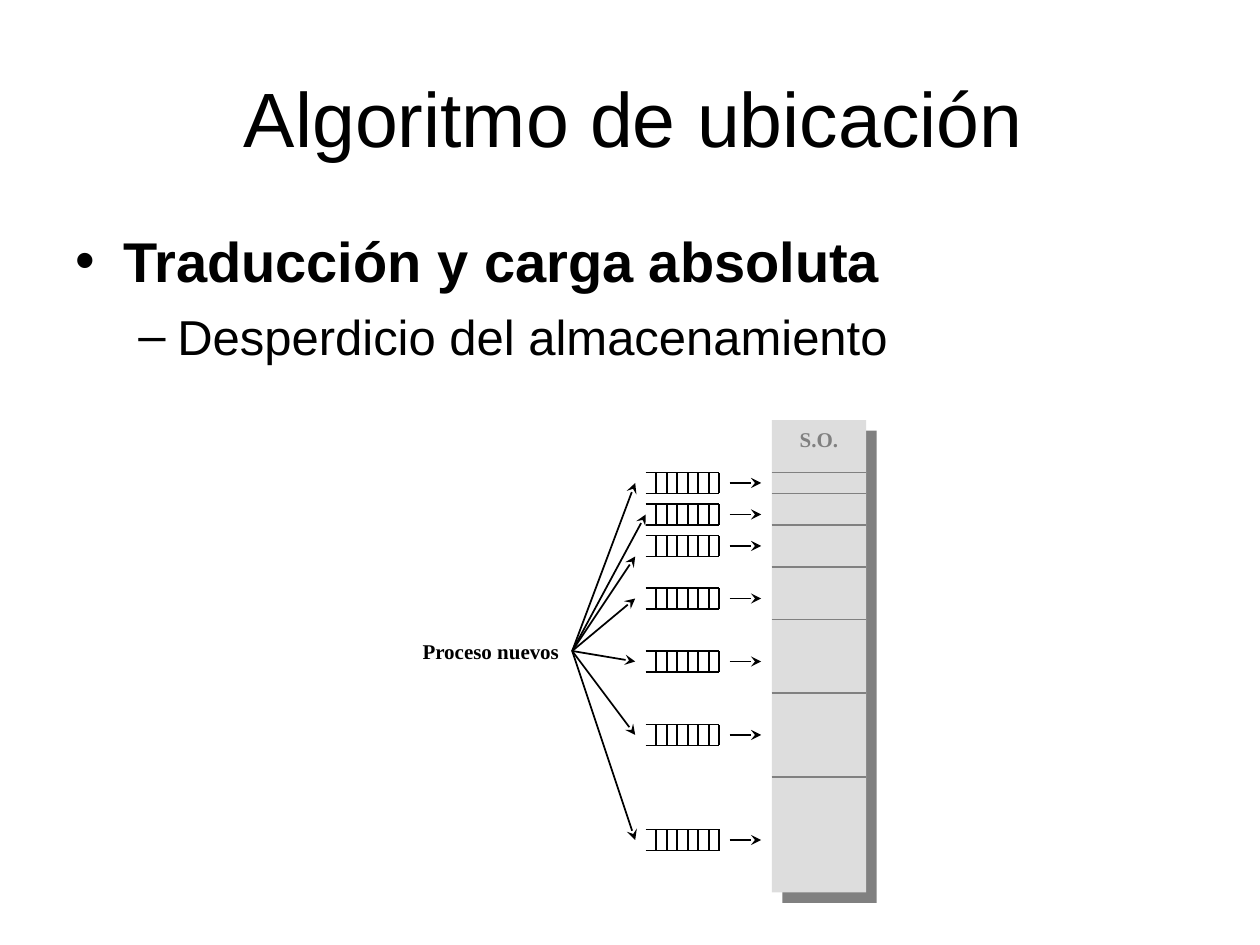
from dataclasses import dataclass

from lxml import etree
from pptx import Presentation
from pptx.dml.color import RGBColor
from pptx.enum.shapes import MSO_CONNECTOR, MSO_SHAPE
from pptx.enum.text import MSO_ANCHOR, PP_ALIGN
from pptx.oxml.ns import qn
from pptx.util import Emu, Inches, Pt

STRAIGHT = MSO_CONNECTOR.STRAIGHT
RECTANGLE = MSO_SHAPE.RECTANGLE
CENTER, LEFT = PP_ALIGN.CENTER, PP_ALIGN.LEFT
TOP, MIDDLE = MSO_ANCHOR.TOP, MSO_ANCHOR.MIDDLE
RIGHT_SIDE = 3

COLORS = {"ink": "000000", "memory": "DDDDDD", "muted": "808080"}
SANS, SERIF = "Arial", "Times New Roman"
UNIT = Inches(1) // 12

SOURCE_COL, SOURCE_ROW = 54, 62
QUEUE_LEFT, QUEUE_RIGHT = 61, 68
ARROW_START, ARROW_END = 69, 72
MEMORY_LEFT, MEMORY_TOP, MEMORY_COLS, MEMORY_ROWS = 73, 40, 9, 45
PARTITION_ROWS = (45, 47, 50, 54, 59, 66, 74)


@dataclass(frozen=True)
class Queue:
    row: int
    head_row: int
    head_col: int = 60


@dataclass(frozen=True)
class Bullet:
    text: str
    mark: str
    size: int
    bold: bool
    level: int
    margin: float
    hanging: float
    before: int


QUEUES = (
    Queue(46, 46),
    Queue(49, 49, QUEUE_LEFT),
    Queue(52, 53),
    Queue(57, 57),
    Queue(63, 63),
    Queue(70, 70),
    Queue(80, 80),
)

BULLETS = (
    Bullet("Traducción y carga absoluta", "•", 32, True, 0, 0.38, 0.38, 0),
    Bullet("Desperdicio del almacenamiento", "–", 28, False, 1, 0.81, 0.31, 7),
)


def color(name: str) -> RGBColor:
    return RGBColor.from_string(COLORS[name])


def col(number: float) -> Emu:
    return Emu(int((number + 0.5) * UNIT))


def row(number: float) -> Emu:
    return Emu(int(number * UNIT))


def style_paragraph(para, font: str, size: int, ink: str, bold: bool, align) -> None:
    para.alignment = align
    para.font.name = font
    para.font.size = Pt(size)
    para.font.bold = bold
    para.font.color.rgb = color(ink)


def add_label(page, text: str, area: tuple, font: str, size: int, ink: str,
              bold: bool, anchor=TOP, wrap: bool = False):
    box = page.shapes.add_textbox(*area)
    frame = box.text_frame
    frame.word_wrap = wrap
    frame.vertical_anchor = anchor
    para = frame.paragraphs[0]
    para.text = text
    style_paragraph(para, font, size, ink, bold, CENTER)
    return box


def add_line(page, start: tuple, end: tuple, ink: str = "ink", arrow: bool = False):
    line = page.shapes.add_connector(
        STRAIGHT, col(start[0]), row(start[1]), col(end[0]), row(end[1]))
    line.line.color.rgb = color(ink)
    line.line.width = Pt(1)
    if arrow:
        etree.SubElement(line.line._get_or_add_ln(), qn("a:tailEnd"), type="stealth")
    etree.SubElement(line._element.spPr, qn("a:effectLst"))
    return line


def add_memory(page) -> None:
    memory = page.shapes.add_shape(
        RECTANGLE, col(MEMORY_LEFT), row(MEMORY_TOP),
        MEMORY_COLS * UNIT, MEMORY_ROWS * UNIT)
    memory.fill.solid()
    memory.fill.fore_color.rgb = color("memory")
    memory.line.fill.background()
    memory.shadow.inherit = False
    effects = memory._element.spPr.find(qn("a:effectLst"))
    shadow = etree.SubElement(
        effects, qn("a:outerShdw"), dist=str(Pt(8.5)), dir="2700000",
        algn="ctr", rotWithShape="0")
    etree.SubElement(shadow, qn("a:srgbClr"), val=COLORS["muted"])
    for level in PARTITION_ROWS:
        add_line(page, (MEMORY_LEFT, level), (MEMORY_LEFT + MEMORY_COLS, level), "muted")
    add_label(page, "S.O.", (col(MEMORY_LEFT + 1), row(MEMORY_TOP), 7 * UNIT, Inches(0.3)),
              SERIF, 12, "muted", True)


def add_queue(page, queue: Queue, source) -> None:
    top, bottom = queue.row - 1, queue.row + 1
    for edge in (top, bottom):
        add_line(page, (QUEUE_LEFT, edge), (QUEUE_RIGHT, edge))
    for slot in range(QUEUE_LEFT + 1, QUEUE_RIGHT + 1):
        add_line(page, (slot, bottom), (slot, top))
    add_line(page, (ARROW_START, queue.row), (ARROW_END, queue.row), arrow=True)
    feed = add_line(page, (SOURCE_COL, SOURCE_ROW), (queue.head_col, queue.head_row), arrow=True)
    feed.begin_connect(source, RIGHT_SIDE)


def add_bullets(page, width: int, height: int) -> None:
    box = page.shapes.add_textbox(
        int(width * 0.05), Inches(1.75), int(width * 0.9), int(height * 0.66))
    frame = box.text_frame
    frame.word_wrap = True
    for index, bullet in enumerate(BULLETS):
        para = frame.add_paragraph() if index else frame.paragraphs[0]
        para.text = bullet.text
        para.level = bullet.level
        para.space_before = Pt(bullet.before)
        props = para._p.get_or_add_pPr()
        props.set("marL", str(Inches(bullet.margin)))
        props.set("indent", str(-Inches(bullet.hanging)))
        tint = etree.SubElement(props, qn("a:buClr"))
        etree.SubElement(tint, qn("a:srgbClr"), val=COLORS["ink"])
        etree.SubElement(props, qn("a:buFont"), typeface=SANS)
        etree.SubElement(props, qn("a:buChar"), char=bullet.mark)
        style_paragraph(para, SANS, bullet.size, "ink", bullet.bold, LEFT)


def main() -> None:
    deck = Presentation()
    deck.slide_width, deck.slide_height = Inches(10), Inches(7.5)
    page = deck.slides.add_slide(deck.slide_layouts[6])
    add_label(page, "Algoritmo de ubicación",
              (Inches(0.56), Inches(0.3), Inches(8.94), Inches(1.25)),
              SANS, 44, "ink", False, MIDDLE, True)
    add_memory(page)
    source = add_label(page, "Proceso nuevos",
                       (col(SOURCE_COL - 15.5), row(SOURCE_ROW - 1.8), int(15.5 * UNIT), Inches(0.3)),
                       SERIF, 12, "ink", True)
    for queue in QUEUES:
        add_queue(page, queue, source)
    add_bullets(page, deck.slide_width, deck.slide_height)
    deck.save("out.pptx")


if __name__ == "__main__":
    main()
